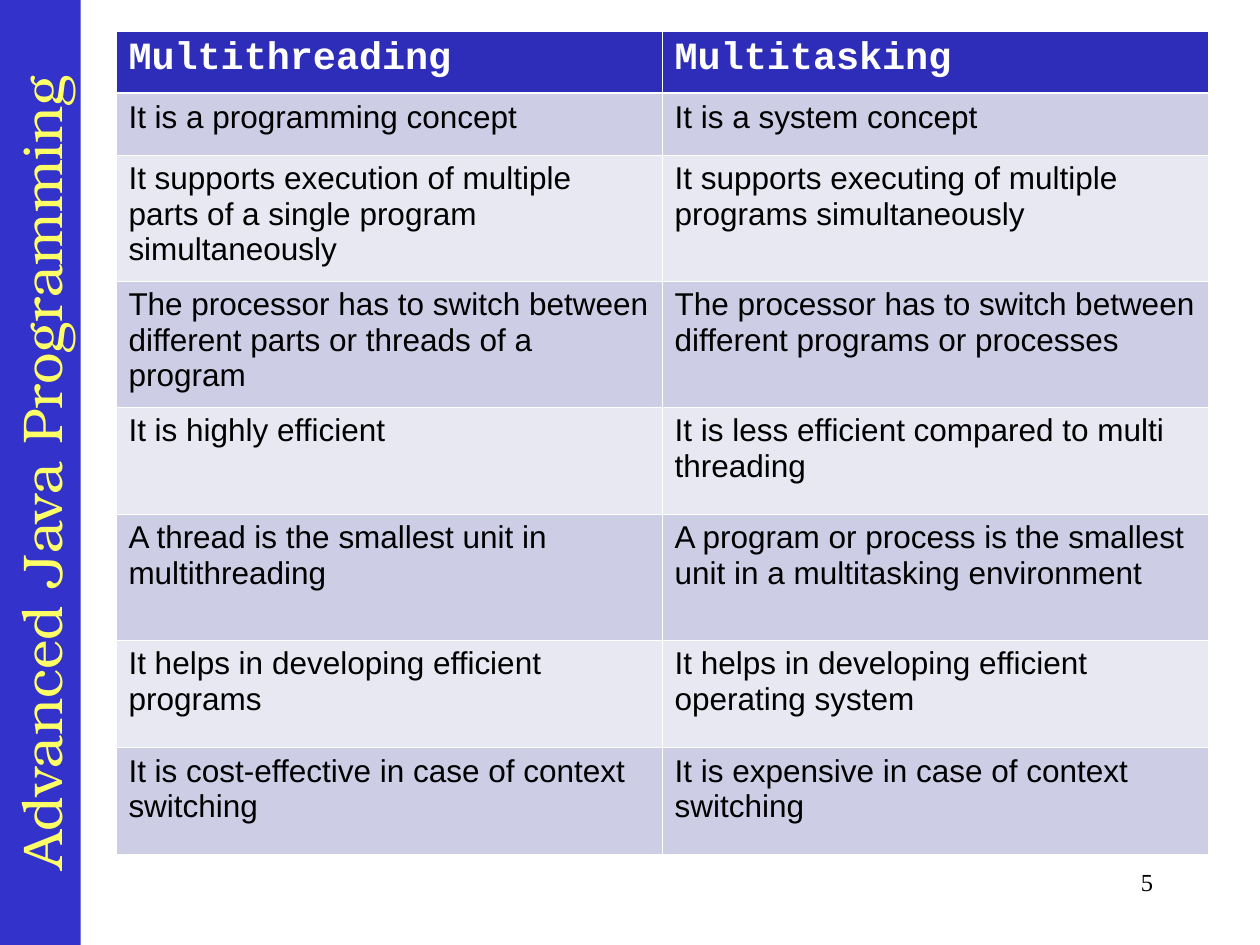
from pptx import Presentation
from pptx.dml.color import RGBColor
from pptx.enum.shapes import MSO_SHAPE
from pptx.enum.text import MSO_ANCHOR, PP_ALIGN
from pptx.oxml import parse_xml
from pptx.oxml.ns import nsdecls
from pptx.util import Inches, Pt

RECT = MSO_SHAPE.RECTANGLE
TOP, MIDDLE = MSO_ANCHOR.TOP, MSO_ANCHOR.MIDDLE
LEFT, CENTER, RIGHT = PP_ALIGN.LEFT, PP_ALIGN.CENTER, PP_ALIGN.RIGHT

COURSE = "Advanced Java Programming"
PAGE = "5"
HEADS = ("Multithreading", "Multitasking")
FACTS = [
    ("It is a programming concept", "It is a system concept"),
    ("It supports execution of multiple parts of a single program simultaneously",
     "It supports executing of multiple programs simultaneously"),
    ("The processor has to switch between different parts or threads of a program",
     "The processor has to switch between different programs or processes"),
    ("It is highly efficient",
     "It is less efficient compared to multi threading"),
    ("A thread is the smallest unit in multithreading",
     "A program or process is the smallest unit in a multitasking environment"),
    ("It helps in developing efficient programs",
     "It helps in developing efficient operating system"),
    ("It is cost-effective in case of context switching",
     "It is expensive in case of context switching"),
]
COLORS = {"bar": "3333CC", "course": "FFFF66", "head": "2D2DB9",
          "odd": "CDCDE6", "even": "E8E8F3", "white": "FFFFFF", "ink": "000000"}

WIDE, HIGH = 10, 7.5
BAR = 0.64
GRID_X, GRID_Y, GRID_W = 0.92, 0.25, 8.67
SHORT, MID, TALL = 0.49, 0.85, 1.0
ROWS = (SHORT, SHORT, TALL, TALL, MID, TALL, MID, MID)
THIN, THICK = 0.45, 1.47


def color(name):
    """Return the named colour."""
    return RGBColor.from_string(COLORS[name])


def write(frame, text, font="Arial", size=18, ink="ink", bold=False,
          align=LEFT, anchor=TOP):
    """Put formatted text into a text frame."""
    frame.word_wrap = True
    frame.vertical_anchor = anchor
    para = frame.paragraphs[0]
    para.alignment = align
    run = para.add_run()
    run.text = text
    run.font.name, run.font.size, run.font.bold = font, Pt(size), bold
    run.font.color.rgb = color(ink)


def paint(cell, fill, top, base):
    """Fill a cell and draw its four white borders."""
    props = cell._tc.get_or_add_tcPr()
    for side, width in (("L", THIN), ("R", THIN), ("T", top), ("B", base)):
        props.append(parse_xml(
            f'<a:ln{side} {nsdecls("a")} w="{int(Pt(width))}"><a:solidFill>'
            f'<a:srgbClr val="{COLORS["white"]}"/></a:solidFill></a:ln{side}>'))
    cell.fill.solid()
    cell.fill.fore_color.rgb = color(fill)


def add_bar(slide):
    """Draw the course name on a bar turned to run up the left edge."""
    bar = slide.shapes.add_shape(RECT, Inches((BAR - HIGH) / 2),
                                 Inches((HIGH - BAR) / 2),
                                 Inches(HIGH), Inches(BAR))
    bar.rotation = 270
    bar.shadow.inherit = False
    bar.fill.solid()
    bar.fill.fore_color.rgb = color("bar")
    bar.line.fill.background()
    write(bar.text_frame, COURSE, font="TeX Gyre Bonum", size=32,
          ink="course", align=CENTER, anchor=MIDDLE)


def add_grid(slide):
    """Build the comparison table with banded rows."""
    table = slide.shapes.add_table(
        len(ROWS), len(HEADS), Inches(GRID_X), Inches(GRID_Y),
        Inches(GRID_W), Inches(sum(ROWS))).table
    for r, (high, texts) in enumerate(zip(ROWS, [HEADS] + FACTS)):
        table.rows[r].height = Inches(high)
        head = r == 0
        fill = "head" if head else "odd" if r % 2 else "even"
        style = dict(font="Courier New", size=22, ink="white", bold=True) if head else {}
        for c, text in enumerate(texts):
            cell = table.cell(r, c)
            paint(cell, fill, THICK if r == 1 else THIN, THICK if head else THIN)
            write(cell.text_frame, text, **style)


def add_page(slide):
    """Place the page number at the lower right."""
    box = slide.shapes.add_textbox(Inches(7.17), Inches(6.83),
                                   Inches(2.08), Inches(0.5))
    write(box.text_frame, PAGE, font="Times New Roman", size=14, align=RIGHT)


deck = Presentation()
deck.slide_width, deck.slide_height = Inches(WIDE), Inches(HIGH)
slide = deck.slides.add_slide(deck.slide_layouts[6])
add_bar(slide)
add_page(slide)
add_grid(slide)
deck.save("out.pptx")
